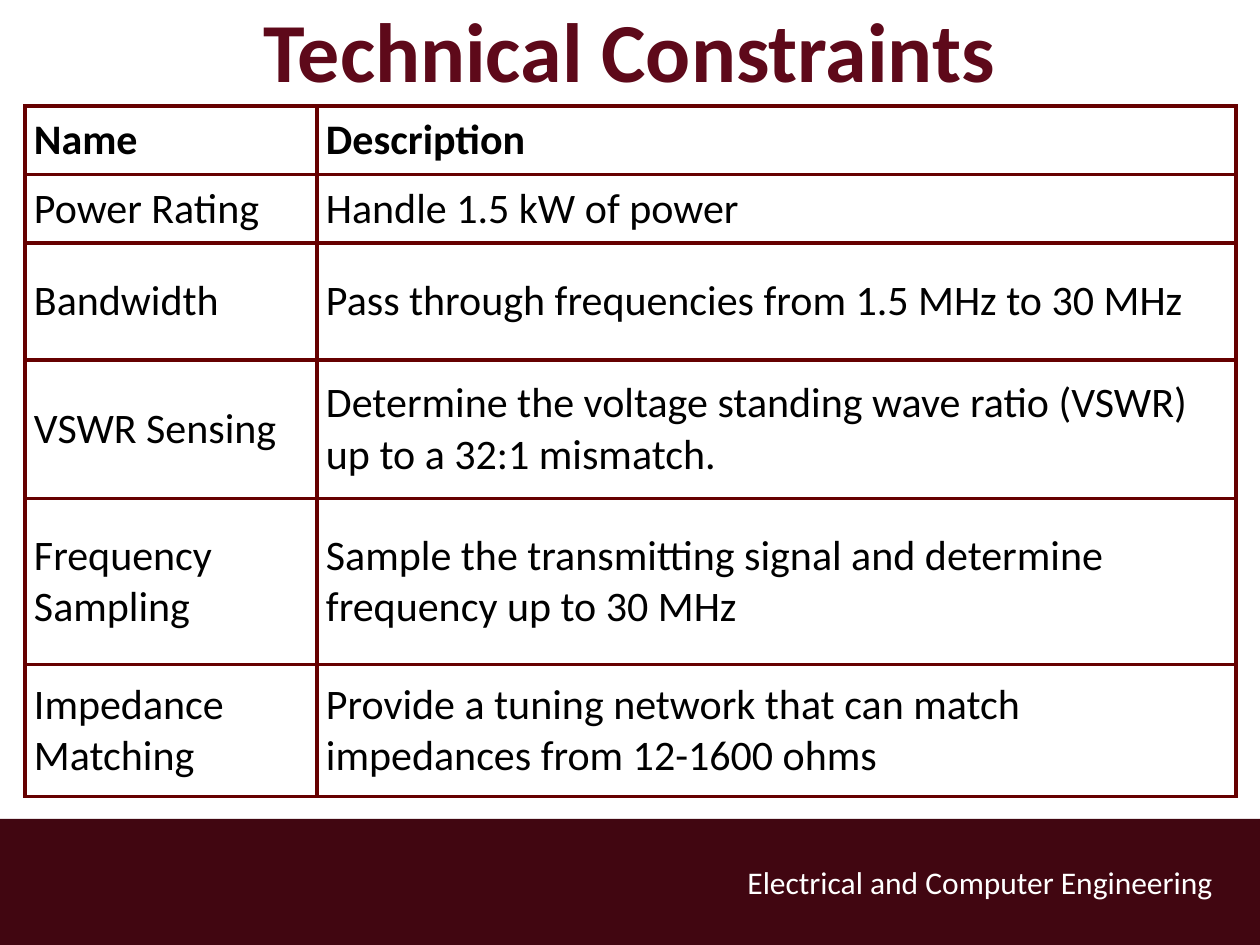
"""Build the Technical Constraints slide with its bordered table and footer band."""
from lxml.etree import SubElement
from pptx import Presentation
from pptx.dml.color import RGBColor
from pptx.enum.shapes import MSO_SHAPE as Shape
from pptx.enum.text import MSO_ANCHOR as Anchor, PP_ALIGN as Align
from pptx.oxml.ns import qn
from pptx.util import Emu, Pt


def px(count):
    return Emu(round(count * 914400 / 126))


def add_span(para, text, size, color, bold=False):
    span = para.add_run()
    span.text = text
    span.font.name = "Calibri"
    span.font.size = Pt(size)
    span.font.bold = bold
    span.font.color.rgb = RGBColor.from_string(color)


ROWS = [
    (68, "Name", "Description"),
    (68, "Power Rating", "Handle 1.5 kW of power"),
    (117, "Bandwidth", "Pass through frequencies from 1.5 MHz to 30 MHz"),
    (139, "VSWR Sensing", "Determine the voltage standing wave ratio (VSWR) up to a 32:1 mismatch."),
    (166, "Frequency Sampling", "Sample the transmitting signal and determine frequency up to 30 MHz"),
    (132, "Impedance Matching", "Provide a tuning network that can match impedances from 12-1600 ohms"),
]
COLUMNS = [292, 919]

deck = Presentation()
deck.slide_width, deck.slide_height = px(1260), px(945)
page = deck.slides.add_slide(deck.slide_layouts[5])

band = page.shapes.add_shape(Shape.RECTANGLE, 0, px(819), px(1260), px(126))
band.shadow.inherit = False
band.fill.solid()
band.fill.fore_color.rgb = RGBColor.from_string("410611")
band.line.fill.background()

footer = page.shapes.add_textbox(px(735), px(857), px(571), px(50))
footer.text_frame.word_wrap = True
add_span(footer.text_frame.paragraphs[0], "Electrical and Computer Engineering", 18, "FFFFFF")

title = page.shapes.title
title.left, title.top, title.width, title.height = px(70), px(-8), px(1119), px(113)
title.text_frame.vertical_anchor = Anchor.MIDDLE
title_para = title.text_frame.paragraphs[0]
title_para.alignment = Align.CENTER
add_span(title_para, "Technical Constraints", 48, "5E091A", bold=True)

total_height = sum(height for height, *_ in ROWS)
frame = page.shapes.add_table(
    len(ROWS), len(COLUMNS), px(25), px(106), px(sum(COLUMNS)), px(total_height)
)
table = frame.table
for column, width in zip(table.columns, COLUMNS):
    column.width = px(width)

for row_index, (height, *texts) in enumerate(ROWS):
    table.rows[row_index].height = px(height)
    for column_index, text in enumerate(texts):
        cell = table.cell(row_index, column_index)
        cell.vertical_anchor = Anchor.MIDDLE
        cell.margin_left = cell.margin_right = px(9)
        cell.margin_top = cell.margin_bottom = px(9)
        add_span(cell.text_frame.paragraphs[0], text, 24, "000000", bold=row_index == 0)
        properties = cell._tc.get_or_add_tcPr()
        for side in ("a:lnL", "a:lnR", "a:lnT", "a:lnB"):
            border = SubElement(properties, qn(side), w=str(Pt(2.25)))
            fill = SubElement(border, qn("a:solidFill"))
            SubElement(fill, qn("a:srgbClr"), val="660000")
        cell.fill.background()

deck.save("out.pptx")
